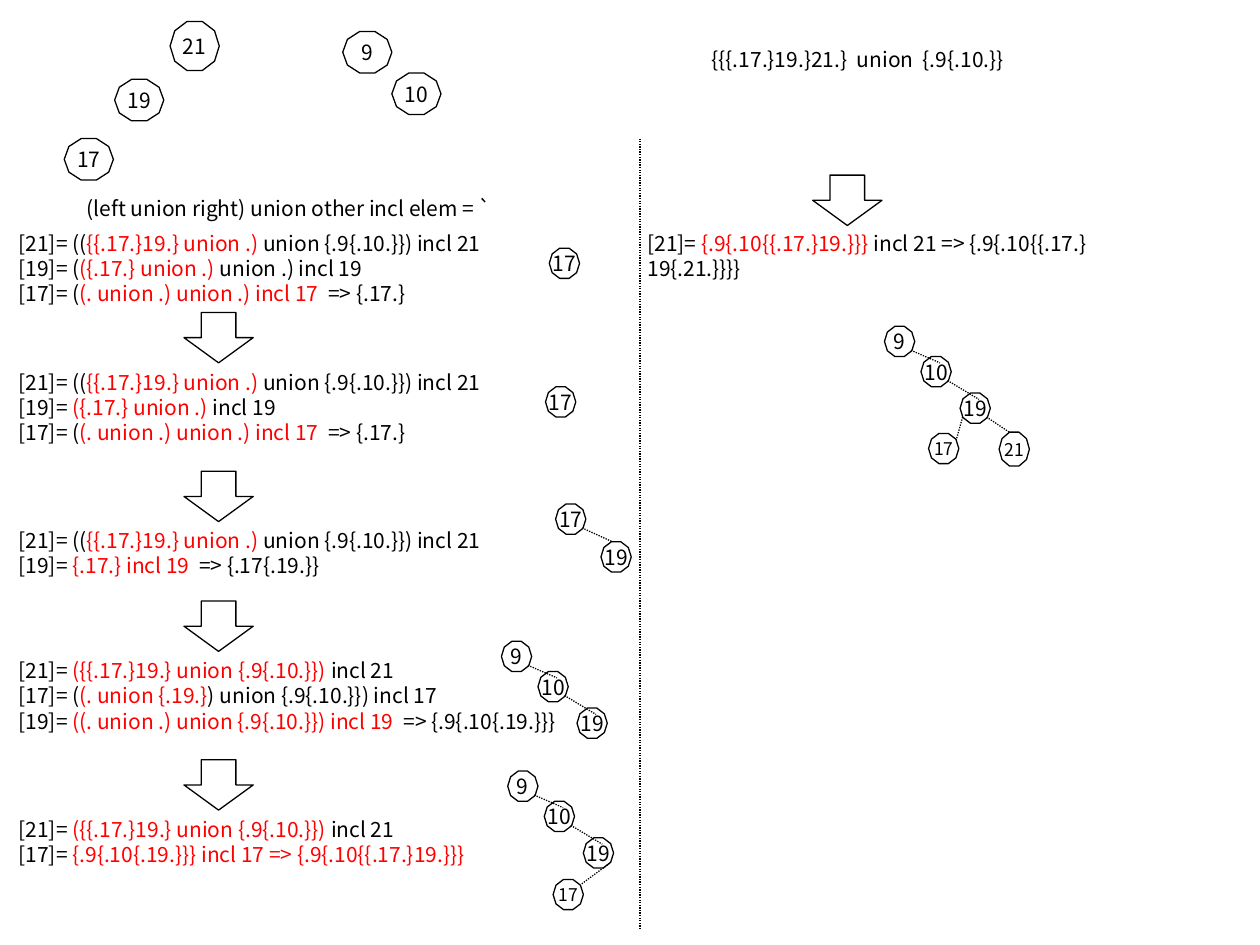
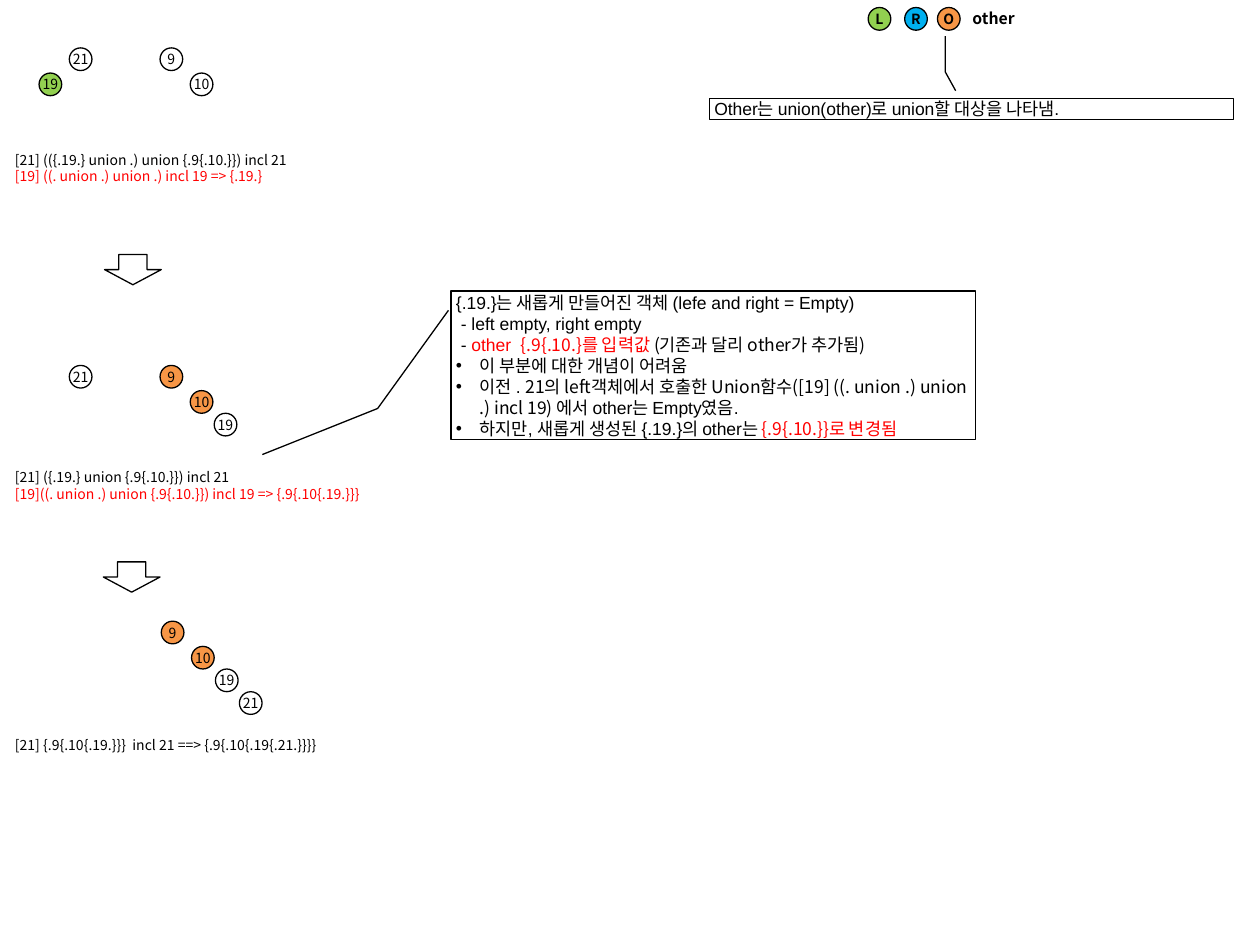
from dataclasses import dataclass

from lxml.etree import SubElement
from pptx import Presentation
from pptx.dml.color import RGBColor
from pptx.enum.dml import MSO_LINE
from pptx.enum.shapes import MSO_CONNECTOR, MSO_SHAPE
from pptx.enum.text import MSO_ANCHOR, MSO_AUTO_SIZE, PP_ALIGN
from pptx.oxml.ns import qn
from pptx.util import Cm, Pt


@dataclass(frozen=True)
class Theme:
    """Colours, fonts and sizes shared by both slides."""
    ink: str = "000000"
    red: str = "FF0000"
    white: str = "FFFFFF"
    left: str = "92D050"
    right: str = "00B0F0"
    other: str = "F79646"
    font: str = "Noto Sans CJK KR"
    note_font: str = "Arial"
    large: float = 12
    note: float = 10
    legend: float = 9
    small: float = 8
    line: float = 0.75


T = Theme()


@dataclass(frozen=True)
class Node:
    """A labelled tree node; positions are in inches."""
    label: str
    x: float
    y: float
    w: float = 0.24
    h: float = 0.24
    size: float = T.large
    shape: MSO_SHAPE = MSO_SHAPE.DECAGON
    fill: str | None = None
    bold: bool = False


@dataclass(frozen=True)
class Run:
    """A stretch of text in one colour and font."""
    text: str
    color: str = T.ink
    font: str = T.font


@dataclass(frozen=True)
class Step:
    """One state of the evaluation, with the red parts between tildes."""
    y: float
    h: float
    lines: tuple[str, ...]


def cm(*inches: float) -> list[Cm]:
    """Turn grid positions in inches into Cm lengths."""
    return [Cm(v * 2.54) for v in inches]


def style_run(r, size: float, color: str = T.ink, font: str = T.font,
              bold: bool = False) -> None:
    """Format a run, with the same face for Korean text everywhere."""
    r.font.size, r.font.bold, r.font.name = Pt(size), bold, font
    r.font.color.rgb = RGBColor.from_string(color)
    SubElement(r.font._element, qn("a:ea")).set("typeface", T.font)


def add_runs(p, runs: list[Run], size: float, bold: bool = False) -> None:
    """Append formatted runs to a paragraph."""
    for run in runs:
        r = p.add_run()
        r.text = run.text
        style_run(r, size, run.color, run.font, bold)


def marked(line: str) -> list[Run]:
    """Split a line at tildes; every second part is red."""
    return [Run(part, T.red if i % 2 else T.ink)
            for i, part in enumerate(line.split("~")) if part]


def add_text(shapes, x: float, y: float, w: float, h: float, lines: tuple[str, ...],
             size: float = T.large, wrap: bool = True, bold: bool = False) -> None:
    """Add a text box, one paragraph for each marked line."""
    tf = shapes.add_textbox(*cm(x, y, w, h)).text_frame
    tf.word_wrap = wrap
    tf.auto_size = MSO_AUTO_SIZE.SHAPE_TO_FIT_TEXT
    for i, line in enumerate(lines):
        p = tf.add_paragraph() if i else tf.paragraphs[0]
        add_runs(p, marked(line), size, bold)


def add_outline(shapes, kind: MSO_SHAPE, x: float, y: float, w: float, h: float,
                fill: str | None = None):
    """Add a thin black outlined shape without shadow."""
    sp = shapes.add_shape(kind, *cm(x, y, w, h))
    sp.shadow.inherit = False
    sp.line.width = Pt(T.line)
    sp.line.color.rgb = RGBColor.from_string(T.ink)
    if fill:
        sp.fill.solid()
        sp.fill.fore_color.rgb = RGBColor.from_string(fill)
    else:
        sp.fill.background()
    return sp


def add_node(shapes, n: Node) -> None:
    """Draw a node with its centred label."""
    tf = add_outline(shapes, n.shape, n.x, n.y, n.w, n.h, n.fill).text_frame
    tf.margin_left = tf.margin_right = tf.margin_top = tf.margin_bottom = 0
    tf.vertical_anchor = MSO_ANCHOR.MIDDLE
    tf.word_wrap = False
    tf.text = n.label
    p = tf.paragraphs[0]
    p.alignment = PP_ALIGN.CENTER
    style_run(p.runs[0], n.size, bold=n.bold)


def add_dots(shapes, x1: float, y1: float, x2: float, y2: float) -> None:
    """Draw a dotted line."""
    cx = shapes.add_connector(MSO_CONNECTOR.STRAIGHT, *cm(x1, y1, x2, y2))
    cx.line.width = Pt(T.line)
    cx.line.color.rgb = RGBColor.from_string(T.ink)
    cx.line.dash_style = MSO_LINE.ROUND_DOT
    SubElement(cx._element.spPr, qn("a:effectLst"))


def add_edge(shapes, parent: Node, child: Node, leave: tuple[float, float] = (0.21, 0.19),
             reach: tuple[float, float] = (0.15, 0.05)) -> None:
    """Join two nodes; leave and reach are offsets from their corners."""
    add_dots(shapes, parent.x + leave[0], parent.y + leave[1],
             child.x + reach[0], child.y + reach[1])


def add_chain(shapes, x: float, y: float) -> Node:
    """Draw the right-leaning chain 9, 10, 19 and return its last node."""
    chain = [Node("9", x, y), Node("10", x + 0.29, y + 0.24), Node("19", x + 0.6, y + 0.53)]
    for n in chain:
        add_node(shapes, n)
    for parent, child in zip(chain, chain[1:]):
        add_edge(shapes, parent, child)
    return chain[-1]


def add_callout(shapes, x: float, y: float, w: float, h: float, adj: list[float],
                paragraphs: list[list[Run]], first_bullet: int) -> None:
    """Add a bordered callout whose paragraphs are bulleted from first_bullet on."""
    sp = add_outline(shapes, MSO_SHAPE.LINE_CALLOUT_2, x, y, w, h)
    for i, value in enumerate(adj):
        sp.adjustments[i] = value
    tf = sp.text_frame
    tf.margin_left = tf.margin_right = Cm(0.1)
    tf.margin_top = tf.margin_bottom = 0
    tf.vertical_anchor = MSO_ANCHOR.MIDDLE
    tf.word_wrap = True
    tf.auto_size = MSO_AUTO_SIZE.SHAPE_TO_FIT_TEXT
    for i, runs in enumerate(paragraphs):
        p = tf.add_paragraph() if i else tf.paragraphs[0]
        p.alignment = PP_ALIGN.LEFT
        add_runs(p, runs, T.note)
        if i >= first_bullet:
            pPr = p._p.get_or_add_pPr()
            pPr.set("marL", str(Cm(0.48)))
            pPr.set("indent", str(-Cm(0.48)))
            SubElement(pPr, qn("a:buFont")).set("typeface", T.note_font)
            SubElement(pPr, qn("a:buChar")).set("char", "•")


def circle(label: str, x: float, y: float, fill: str | None = None, bold: bool = False) -> Node:
    """Make one of the small round nodes."""
    return Node(label, x, y, 0.18, 0.18, T.small, MSO_SHAPE.OVAL, fill, bold)


def add_circles(shapes, *nodes: Node):
    """Draw small nodes as one group and return the group."""
    grp = shapes.add_group_shape()
    for n in nodes:
        add_node(grp.shapes, n)
    return grp


def note(text: str) -> Run:
    """Make a black run in the note font."""
    return Run(text, font=T.note_font)


STEP_21 = "[21]= ((~{{.17.}19.} union .)~ union {.9{.10.}}) incl 21"
STEP_21_LATER = "[21]= ~({{.17.}19.} union {.9{.10.}}) ~incl 21"
STEPS = [
    Step(1.78, 0.71, (STEP_21, "[19]= (~({.17.} union .) ~union .) incl 19",
                      "[17]= (~(. union .) union .) incl 17 ~ => {.17.}")),
    Step(2.88, 0.71, (STEP_21, "[19]= ~({.17.} union .) ~incl 19",
                      "[17]= (~(. union .) union .) incl 17~  => {.17.}")),
    Step(4.14, 0.5, (STEP_21, "[19]= ~{.17.} incl 19  ~=> {.17{.19.}}")),
    Step(5.17, 0.71, (STEP_21_LATER, "[17]= (~(. union {.19.}~) union {.9{.10.}}) incl 17",
                      "[19]= ~((. union .) union {.9{.10.}}) incl 19  ~=> {.9{.10{.19.}}}")),
    Step(6.43, 0.5, (STEP_21_LATER, "[17]= ~{.9{.10{.19.}}} incl 17 => {.9{.10{{.17.}19.}}}")),
]


def build_evaluation(prs) -> None:
    """Slide 1: the union evaluated step by step beside its trees."""
    sh = prs.slides.add_slide(prs.slide_layouts[6]).shapes
    add_text(sh, 5.55, 0.32, 5, 0.3, ("{{{.17.}19.}21.}  union  {.9{.10.}}",))
    add_node(sh, Node("21", 1.35, 0.17, 0.39, 0.39))
    for label, x, y in [("19", 0.91, 0.63), ("17", 0.51, 1.1), ("9", 2.72, 0.25),
                        ("10", 3.11, 0.58)]:
        add_node(sh, Node(label, x, y, 0.39, 0.33))
    add_text(sh, 0.59, 1.5, 3.46, 0.3, ("(left union right) union other incl elem = `",),
             wrap=False)

    for i, step in enumerate(STEPS):
        add_text(sh, 0.05, step.y, 7.5, step.h, step.lines)
        if i:
            add_outline(sh, MSO_SHAPE.DOWN_ARROW, 1.46, step.y - 0.4, 0.55, 0.4)
    add_text(sh, 5.04, 1.78, 4.37, 0.3,
             ("[21]=~ {.9{.10{{.17.}19.}}} ~incl 21 => {.9{.10{{.17.}19{.21.}}}}",))
    add_outline(sh, MSO_SHAPE.DOWN_ARROW, 6.45, 1.39, 0.55, 0.4)
    add_dots(sh, 5.08, 1.1, 5.08, 7.37)

    add_node(sh, Node("17", 4.36, 1.97))
    add_node(sh, Node("17", 4.33, 3.07))
    pair = Node("17", 4.41, 4), Node("19", 4.77, 4.3)
    for n in pair:
        add_node(sh, n)
    add_edge(sh, *pair, reach=(0.09, 0))
    add_chain(sh, 3.98, 5.09)

    parent = add_chain(sh, 4.03, 6.12)
    child = Node("17", 4.39, 6.98, size=T.note)
    add_node(sh, child)
    add_edge(sh, parent, child, (0.21, 0.2), (0.22, 0.04))

    parent = add_chain(sh, 7.02, 2.59)
    children = Node("17", 7.37, 3.44, size=T.note), Node("21", 7.93, 3.43, h=0.27, size=T.note)
    for n in children:
        add_node(sh, n)
    add_edge(sh, parent, children[0], (0.02, 0.19), (0.22, 0.05))
    add_edge(sh, parent, children[1], reach=(0.08, 0))


def build_notes(prs) -> None:
    """Slide 2: a smaller union with coloured roles and notes."""
    sh = prs.slides.add_slide(prs.slide_layouts[6]).shapes
    add_circles(sh, circle("21", 0.55, 0.38), circle("19", 0.31, 0.58, T.left))
    add_circles(sh, circle("9", 1.27, 0.38, T.white), circle("10", 1.51, 0.58, T.white))
    legend = add_circles(sh, circle("L", 6.89, 0.06, T.left, True),
                         circle("R", 7.18, 0.06, T.right, True),
                         circle("O", 7.44, 0.06, T.other, True))
    add_text(legend.shapes, 7.62, 0.02, 0.56, 0.25, ("other",), T.legend, bold=True)

    add_node(sh, circle("21", 0.55, 2.9))
    for x, y in [(1.27, 2.9), (1.28, 4.93)]:
        add_circles(sh, circle("9", x, y, T.other), circle("10", x + 0.24, y + 0.2, T.other))
        add_node(sh, circle("19", x + 0.43, y + 0.38, T.white))
    add_node(sh, circle("21", 1.9, 5.49))

    for y, h, lines in [
        (1.15, 0.5, ("[21] (({.19.} union .) union {.9{.10.}}) incl 21",
                     "~[19] ((. union .) union .) incl 19 => {.19.}")),
        (3.67, 0.37, ("[21] ({.19.} union {.9{.10.}}) incl 21",
                      "~[19]((. union .) union {.9{.10.}}) incl 19 => {.9{.10{.19.}}}")),
        (5.8, 0.24, ("[21] {.9{.10{.19.}}}  incl 21 ==> {.9{.10{.19{.21.}}}}",)),
    ]:
        add_text(sh, 0.02, y, 3.31, h, lines, T.small)
    for x, y in [(0.83, 2.02), (0.82, 4.46)]:
        add_outline(sh, MSO_SHAPE.DOWN_ARROW, x, y, 0.45, 0.24)

    add_callout(sh, 3.58, 2.31, 4.16, 1.18, [0.13, -0.005, 0.79, -0.14, 1.1, -0.36], [
        [note("{.19.}는 새롭게 만들어진 객체 (lefe and right = Empty)")],
        [note(" - left empty, right empty ")],
        [note(" - "), Run("other  ", T.red, T.note_font), Run("{.9{.10.}를 입력값 ", T.red),
         Run("(기존과 달리 other가 추가됨)")],
        [note("이 부분에 대한 개념이 어려움")],
        [note("이전 . "),
         Run("21의 left객체에서 호출한 Union함수([19] ((. union .) union .) incl 19) "),
         note("에서 other는 Empty였음.")],
        [note("하지만, 새롭게 생성된 {.19.}의 other는 "), Run("{.9{.10.}}로 변경됨", T.red)],
    ], first_bullet=3)
    add_callout(sh, 5.63, 0.78, 4.16, 0.17, [-0.35, 0.47, -1.24, 0.45, -2.9, 0.45],
                [[note("Other는 union(other)로 union할 대상을 나타냄. ")]], first_bullet=1)


prs = Presentation()
prs.slide_width, prs.slide_height = Cm(25.4), Cm(19.05)
build_evaluation(prs)
build_notes(prs)
prs.save("out.pptx")
